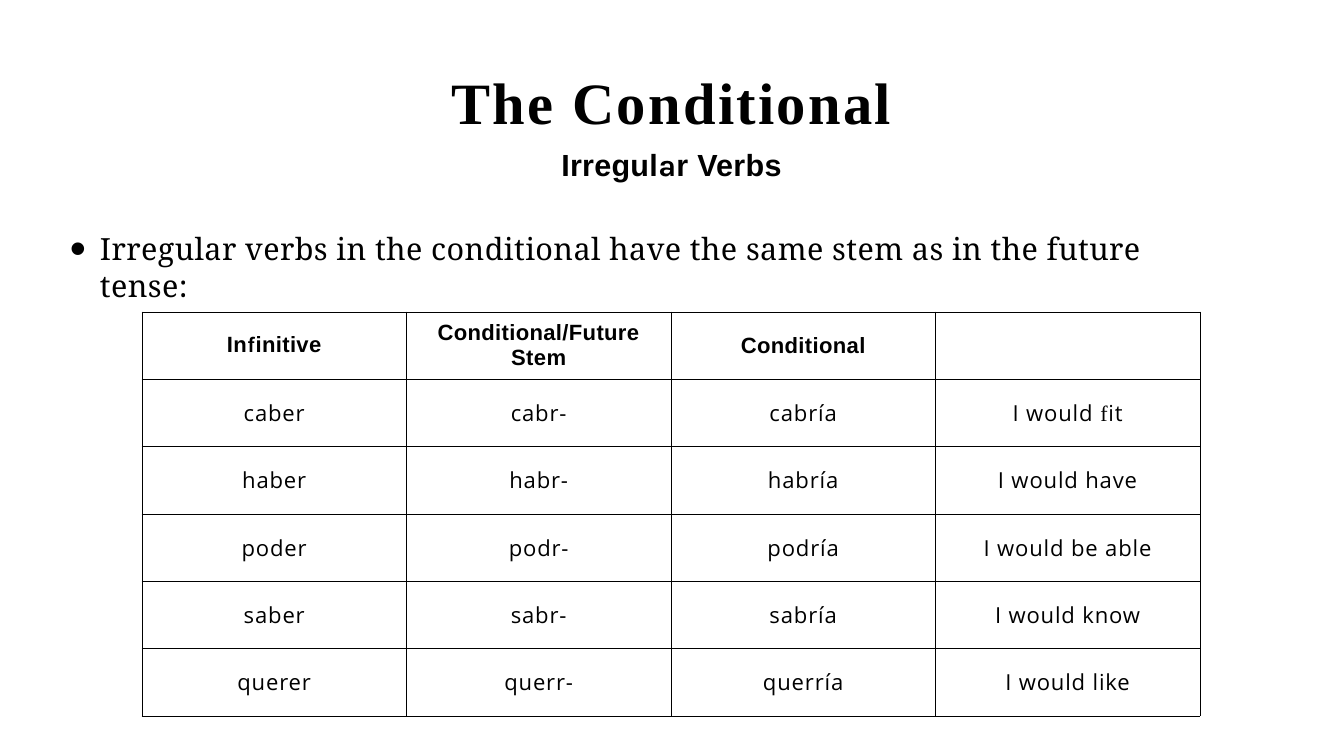
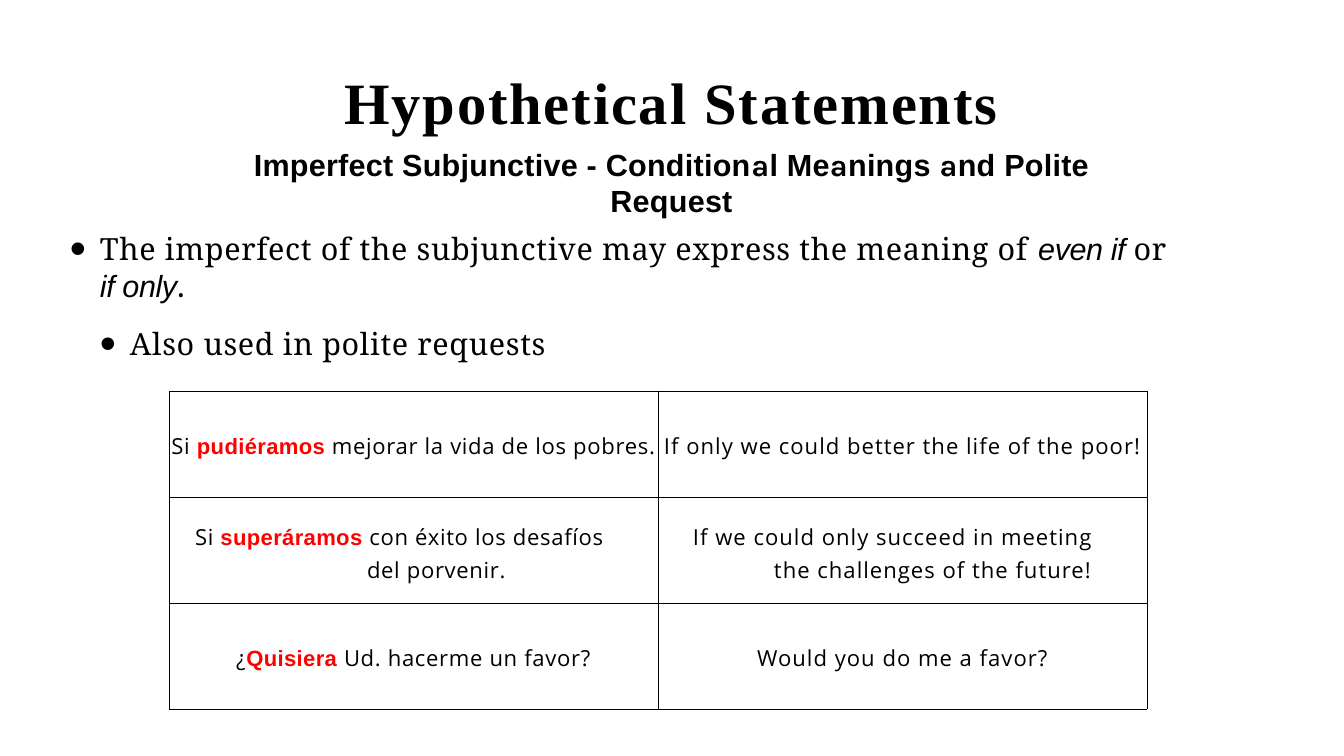
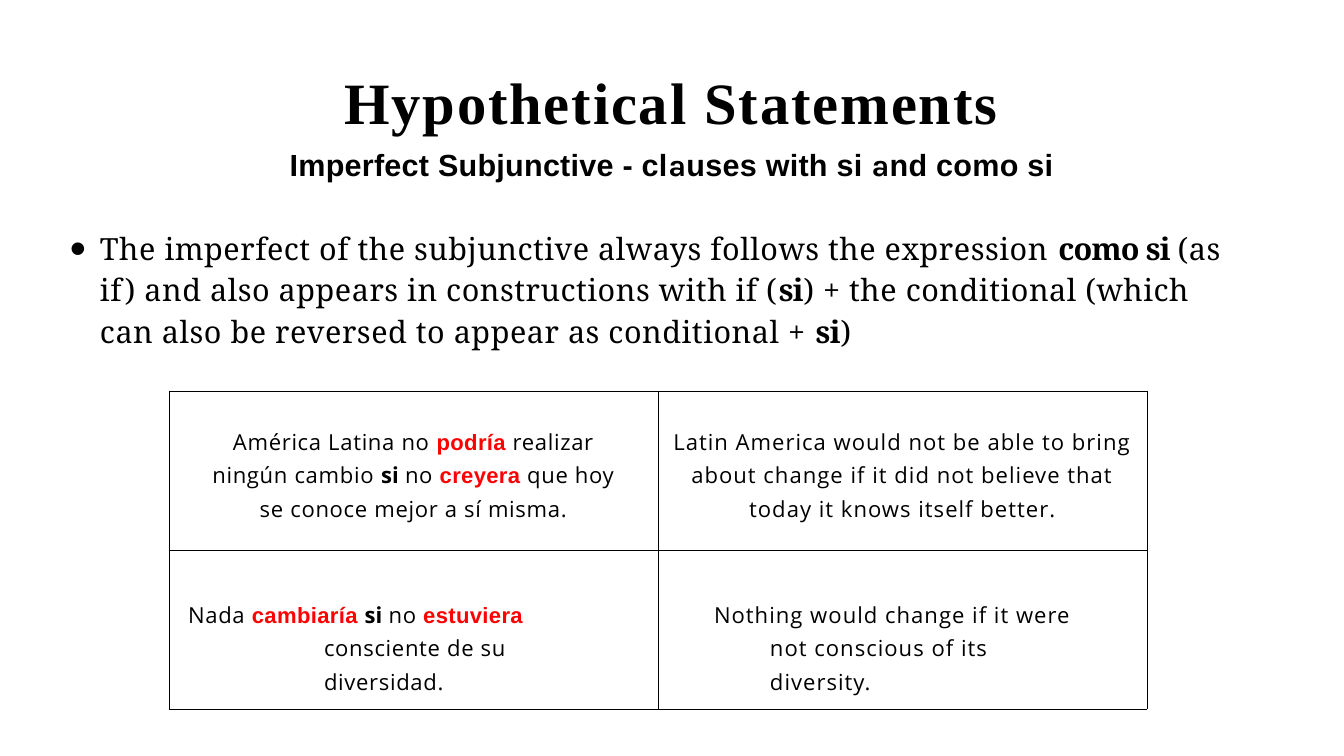
from dataclasses import dataclass, replace

from lxml.etree import SubElement
from pptx import Presentation
from pptx.dml.color import RGBColor
from pptx.enum.text import MSO_ANCHOR as Anchor, PP_ALIGN as Align
from pptx.oxml.ns import qn
from pptx.util import Pt

PX = 914400 / 61.1
COLORS = {"ink": "000000", "accent": "FF0000", "paper": "FFFFFF"}


@dataclass(frozen=True)
class Style:
    """Look of a run; tracking is in points."""
    font: str
    size: float
    tracking: float = 0
    bold: bool = False
    italic: bool = False
    color: str = "ink"


@dataclass(frozen=True)
class Cell:
    """Words of a table cell and their indents in pixels."""
    words: list
    left: int = 0
    hang: int = 0
    right: int = 0
    drop: int = 0
    align: Align = Align.CENTER


SUBTITLE = Style("Arial", 36, 0.3, bold=True)
SUBTITLE_A = replace(SUBTITLE, font="Karla")
BODY = Style("Noto Serif", 36, 0.65)
BODY_STRONG = replace(BODY, tracking=-1, bold=True)
BODY_ITALIC = Style("Arial", 36, -0.5, italic=True)
HEADER = Style("Arial", 26, 0.4, bold=True)
HEADER_F = replace(HEADER, font="Karla")
CELL = Style("Open Sans", 26, 1)
CELL_F = replace(CELL, font="Times New Roman")
CELL_STRONG = replace(CELL, tracking=0.2, bold=True)
VERB = replace(HEADER, color="accent")
SPANISH = replace(CELL, tracking=0.8)
ENGLISH = replace(CELL, tracking=1.2)


def px(length):
    """Turn pixels into EMU."""
    return round(length * PX)


def write_runs(paragraph, words, base):
    """Write strings in the base style and (text, style) pairs in their own."""
    for word in words:
        text, style = (word, base) if isinstance(word, str) else word
        run = paragraph.add_run()
        run.text = text
        font = run.font
        font.name, font.size = style.font, Pt(style.size)
        font.bold, font.italic = style.bold, style.italic
        font.color.rgb = RGBColor.from_string(COLORS[style.color])
        run._r.get_or_add_rPr().set("spc", str(round(style.tracking * 100)))


def indent(paragraph, left, first, right=0):
    """Set the paragraph indents, given in pixels."""
    properties = paragraph._p.get_or_add_pPr()
    for name, length in (("marL", left), ("marR", right), ("indent", first)):
        properties.set(name, str(px(length)))


def add_frame(slide, left, top, width, height, inset=0):
    """Add a wrapping text box and return its text frame."""
    box = slide.shapes.add_textbox(px(left), px(top), px(width), px(height))
    frame = box.text_frame
    frame.word_wrap = True
    frame.margin_left = frame.margin_right = frame.margin_bottom = 0
    frame.margin_top = px(inset)
    return frame


def add_heading(slide, title, subtitle, tracking):
    """Add the centred title with its subtitle, whose every a is in Karla."""
    frame = add_frame(slide, 195, 39, 953, 136, inset=27)
    title_line, subtitle_line = frame.paragraphs[0], frame.add_paragraph()
    title_line.alignment = subtitle_line.alignment = Align.CENTER
    subtitle_line.space_before = Pt(10.9)
    write_runs(title_line, [title],
               Style("Times New Roman", 69, tracking, bold=True))
    first, *others = subtitle.split("a")
    words = [first]
    for part in others:
        words += [("a", SUBTITLE_A), part]
    write_runs(subtitle_line, words, SUBTITLE)


def add_bullets(slide, top, width, height, points, tracking, spacing=None, right=0):
    """Add bulleted points, each one level deeper than the one before."""
    frame = add_frame(slide, 69, top, width, height)
    for level, words in enumerate(points):
        point = frame.add_paragraph() if level else frame.paragraphs[0]
        point.level = level
        if spacing:
            point.line_spacing = spacing
        if level:
            point.space_before = Pt(25.6)
        indent(point, 31 + 30 * level, -30, right)
        properties = point._p.get_or_add_pPr()
        SubElement(properties, qn("a:buSzPct"), val="151000")
        SubElement(properties, qn("a:buFont"), typeface="Arial")
        SubElement(properties, qn("a:buChar"), char="•")
        write_runs(point, words, replace(BODY, tracking=tracking))


def add_borders(cell):
    """Draw a thin line on the four sides of a cell."""
    properties = cell._tc.get_or_add_tcPr()
    for place, side in enumerate(("lnL", "lnR", "lnT", "lnB")):
        line = SubElement(properties, qn(f"a:{side}"), w=str(Pt(1)))
        fill = SubElement(line, qn("a:solidFill"))
        SubElement(fill, qn("a:srgbClr"), val=COLORS["ink"])
        properties.insert(place, line)


def add_grid(slide, left, top, width, height, rows, column_styles, spacing=None):
    """Add a table of equal cells; column_styles holds a base style per column."""
    table = slide.shapes.add_table(len(rows), len(column_styles), px(left), px(top),
                                   px(width), px(height)).table
    table.first_row = table.horz_banding = False
    for column in table.columns:
        column.width = px(width / len(column_styles))
    for row, content in zip(table.rows, rows):
        row.height = px(height / len(rows))
        for cell, entry, style in zip(row.cells, content, column_styles):
            cell.fill.background()
            add_borders(cell)
            cell.margin_left = cell.margin_right = cell.margin_bottom = 0
            cell.margin_top = px(entry.drop)
            cell.vertical_anchor = Anchor.MIDDLE
            line = cell.text_frame.paragraphs[0]
            line.alignment = entry.align
            if spacing:
                line.line_spacing = spacing
            indent(line, entry.left, entry.hang, entry.right)
            write_runs(line, entry.words, style)


def add_examples(slide, rows):
    """Add the two-column table of Spanish examples and their translations."""
    add_grid(slide, 169, 391, 978, 318, rows, [SPANISH, ENGLISH], spacing=1.11)


def hanging(words, left, hang, right, drop):
    """Make a left-aligned cell with a hanging indent."""
    return Cell(words, left, hang, right, drop, Align.LEFT)


def build_conditional(slide):
    """Irregular verbs in the conditional."""
    add_heading(slide, "The Conditional", "Irregular Verbs", 2.7)
    add_bullets(slide, 230, 1080, 38, [[
        "Irregular verbs in the conditional have the same stem as in the "
        "future tense:"]], 0.52)
    headings = [
        [("In", HEADER), ("f", HEADER_F), ("initive", HEADER)],
        [("Conditional/Future Stem", HEADER)],
        [("Conditional", HEADER)],
        []]
    verbs = [
        ("caber", "cabr", ["I would ", ("f", CELL_F), "it"]),
        ("haber", "habr", ["I would have"]),
        ("poder", "podr", ["I would be able"]),
        ("saber", "sabr", ["I would know"]),
        ("querer", "querr", ["I would like"])]
    rows = [[Cell(words, left=12, right=12) for words in headings]]
    for infinitive, stem, meaning in verbs:
        rows.append([Cell([infinitive]), Cell([stem + "-"]),
                     Cell([stem + "ía"]), Cell(meaning)])
    add_grid(slide, 142, 312, 1058, 404, rows, [CELL] * 4)


def build_polite_requests(slide):
    """Imperfect subjunctive in wishes and polite requests."""
    add_heading(slide, "Hypothetical Statements",
                "Imperfect Subjunctive - Conditional Meanings and Polite Request", 2.2)
    add_bullets(slide, 230, 1102, 99, [
        ["The imperfect of the subjunctive may express the meaning of ",
         ("even if ", BODY_ITALIC), "or ", ("if only", BODY_ITALIC), "."],
        ["Also used in polite requests"]], 0.8)
    add_examples(slide, [
        [Cell(["Si ", ("pudiéramos ", VERB), "mejorar la vida de los pobres."]),
         Cell(["If only we could better the life of the poor!"])],
        [hanging(["Si ", ("superáramos ", VERB),
                  "con éxito los desafíos del porvenir."], 198, -172, 37, 4),
         hanging(["If we could only succeed in meeting the challenges of the "
                  "future!"], 116, -81, 37, 4)],
        [Cell(["¿", ("Quisiera ", VERB), "Ud. hacerme un favor?"]),
         Cell(["Would you do me a favor?"])]])


def build_si_clauses(slide):
    """Imperfect subjunctive after si and como si."""
    add_heading(slide, "Hypothetical Statements",
                "Imperfect Subjunctive - clauses with si and como si", 2.2)
    add_bullets(slide, 225, 1177, 126, [[
        "The imperfect of the subjunctive always follows the expression ",
        ("como si ", BODY_STRONG),
        "(as if) and also appears in constructions with if (", ("si", BODY_STRONG),
        ") + the conditional (which can also be reversed to appear as conditional + ",
        ("si", BODY_STRONG), ")"]], 0.65, spacing=1.13, right=15)
    add_examples(slide, [
        [Cell(["América Latina no ", ("podría ", VERB), "realizar ningún cambio ",
               ("si ", CELL_STRONG), "no ", ("creyera ", VERB),
               "que hoy se conoce mejor a sí misma."], left=31, right=31, drop=6),
         Cell(["Latin America would not be able to bring about change if it did not "
               "believe that today it knows itself better."], left=5, right=5, drop=6)],
        [hanging(["Nada ", ("cambiaría ", VERB), ("si ", CELL_STRONG), "no ",
                  ("estuviera ", VERB), "consciente de su diversidad."],
                 155, -136, 66, 34),
         hanging(["Nothing would change if it were not conscious of its diversity."],
                 112, -56, 66, 34)]])


def main():
    """Build the slides and save them."""
    deck = Presentation()
    deck.slide_width, deck.slide_height = px(1344), px(756)
    for build in (build_conditional, build_polite_requests, build_si_clauses):
        slide = deck.slides.add_slide(deck.slide_layouts[6])
        background = slide.background.fill
        background.solid()
        background.fore_color.rgb = RGBColor.from_string(COLORS["paper"])
        build(slide)
    deck.save("out.pptx")


main()
